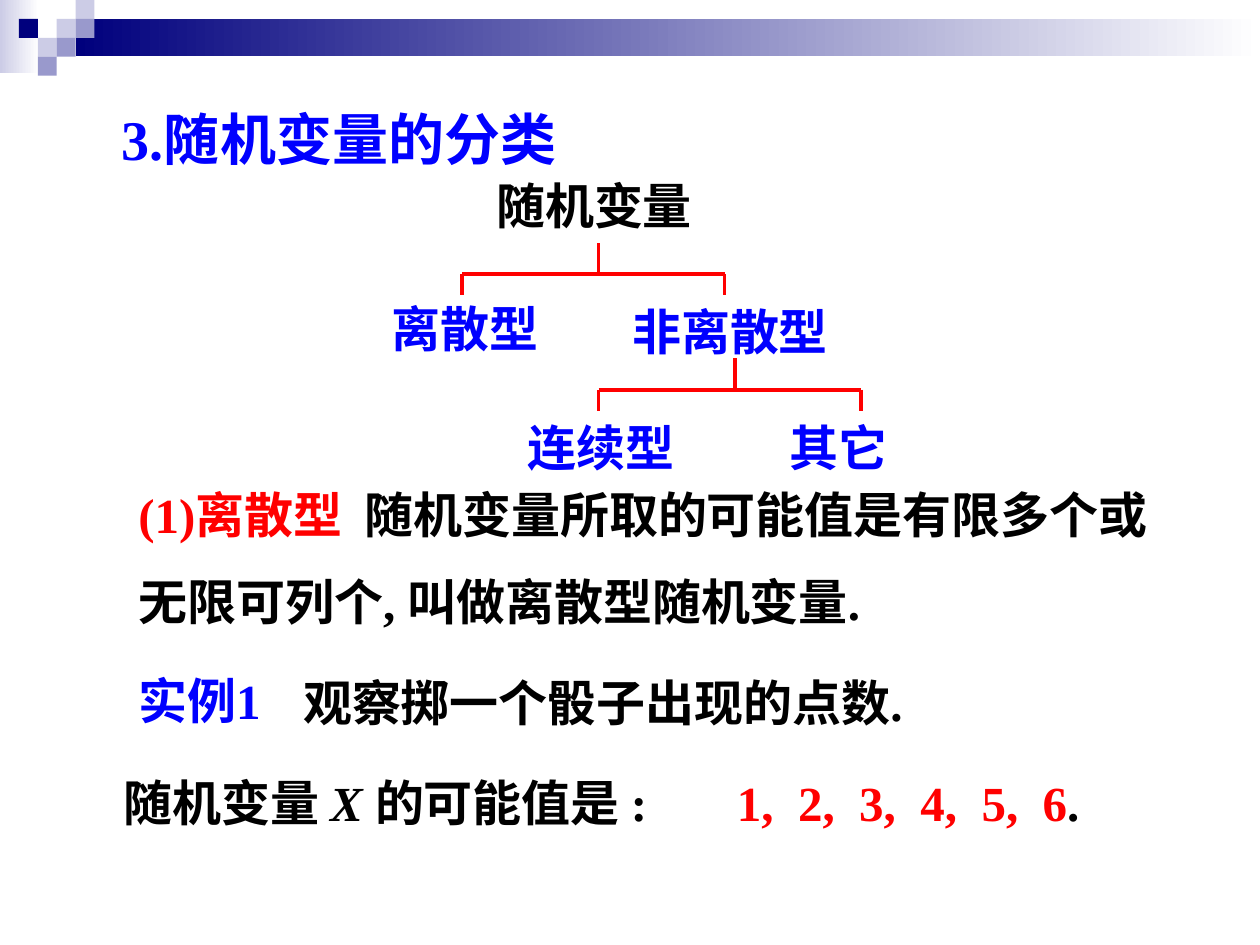
from lxml import etree
from pptx import Presentation
from pptx.dml.color import RGBColor
from pptx.enum.shapes import MSO_CONNECTOR, MSO_SHAPE
from pptx.enum.text import MSO_AUTO_SIZE
from pptx.oxml.ns import qn
from pptx.util import Pt

LINE = MSO_CONNECTOR.STRAIGHT
RECT = MSO_SHAPE.RECTANGLE
FIT = MSO_AUTO_SIZE.SHAPE_TO_FIT_TEXT

BLUE = RGBColor(0, 0, 255)
RED = RGBColor(255, 0, 0)
BLACK = RGBColor(0, 0, 0)
WHITE = RGBColor(255, 255, 255)
NAVY = RGBColor(0, 0, 125)
PALE = RGBColor(204, 204, 230)
LILAC = RGBColor(153, 153, 204)

ROMAN = "Times New Roman"
HAN = "Noto Sans CJK SC"

CELL = 10.8
BARS = [((0, 0, 22.3, 41.8), PALE), ((43.2, CELL, 676.8, 21.3), NAVY)]
CELLS = [(3, 1, PALE), (4, 0, PALE), (4, 1, LILAC), (2, 2, PALE),
         (1, 1, NAVY), (3, 2, LILAC), (2, 3, LILAC)]

NODES = [
    ("随机变量", (276.5, 96.5), BLACK),
    ("离散型", (216.7, 167), BLUE),
    ("非离散型", (354.2, 168.5), BLUE),
    ("连续型", (294.5, 234.9), BLUE),
    ("其它", (444.2, 234.9), BLUE),
]
GLYPH, EDGE = 28, 16
FORKS = [(264.2, 342, 156.8), (342, 420, 222.7)]
SPAN, STEM, DROP = 149.8, 18, 12

TITLE = [[("3.", {}), ("随机变量的分类", {"face": HAN})]]
RULE = [
    [("(1)", {"color": RED}), ("离散型", {"color": RED, "face": HAN}),
     ("  随机变量所取的可能值是有限多个或", {"face": HAN})],
    [("无限可列个", {"face": HAN}), (", ", {}),
     ("叫做离散型随机变量", {"face": HAN}), (".", {})],
]
CASE = [[("实例1", {})]]
DICE = [[(" 观察掷一个骰子出现的点数.", {})]]
ASK = [[("随机变量 ", {}), ("X ", {"slant": True}), ("的可能值是 :", {})]]
VALUES = [[("1,  2,  3,  4,  5,  6", {"color": RED}), (".", {})]]

deck = Presentation()
deck.slide_width, deck.slide_height = Pt(720), Pt(540)
slide = deck.slides.add_slide(deck.slide_layouts[6])
shapes = slide.shapes


def add_text(paras, place, size=28, color=BLACK, tall=41, wrap=False,
             hang=0, lead=None, gap=0):
    left, top, wide = place
    box = shapes.add_textbox(Pt(left), Pt(top), Pt(wide), Pt(tall))
    frame = box.text_frame
    frame.word_wrap = wrap
    frame.auto_size = FIT
    for i, runs in enumerate(paras):
        para = frame.add_paragraph() if i else frame.paragraphs[0]
        if hang:
            props = para._p.get_or_add_pPr()
            props.set("marL", str(Pt(hang)))
            props.set("indent", str(-Pt(hang)))
        if lead:
            para.line_spacing = lead
        if i and gap:
            para.space_before = Pt(gap)
        for words, look in runs:
            run = para.add_run()
            run.text = words
            font = run.font
            font.size, font.bold = Pt(size), True
            font.italic = look.get("slant", False)
            font.color.rgb = look.get("color", color)
            font.name = look.get("face", ROMAN)
            east = etree.SubElement(run._r.get_or_add_rPr(), qn("a:ea"))
            east.set("typeface", HAN)


def add_rect(place, color, fade=False):
    rect = shapes.add_shape(RECT, *[Pt(n) for n in place])
    rect.shadow.inherit = False
    rect.line.fill.background()
    if fade:
        rect.fill.gradient()
        rect.fill.gradient_angle = 180
        for stop, tint in zip(rect.fill.gradient_stops, (WHITE, color)):
            stop.color.rgb = tint
    else:
        rect.fill.solid()
        rect.fill.fore_color.rgb = color


def add_line(*ends):
    line = shapes.add_connector(LINE, *[Pt(n) for n in ends])
    line.line.color.rgb = RED
    line.line.width = Pt(2.25)
    etree.SubElement(line._element.spPr, qn("a:effectLst"))


for place, color in BARS:
    add_rect(place, color, fade=True)
for col, row, color in CELLS:
    add_rect((col * CELL, row * CELL, CELL, CELL), color)

add_text(TITLE, (62.6, 56.2, 276), size=32, color=BLUE, tall=46)
for words, (left, top), color in NODES:
    wide = len(words) * GLYPH + EDGE
    add_text([[(words, {})]], (left, top, wide), color=color)
for left, stem, top in FORKS:
    right = left + SPAN
    add_line(left, top, right, top)
    add_line(left, top, left, top + DROP)
    add_line(right, top, right, top + DROP)
    add_line(stem, top, stem, top - STEM)

add_text(RULE, (72, 276, 635.8), tall=88.6, wrap=True,
         hang=36, lead=0.95, gap=17.5)
add_text(CASE, (72, 379.4, 95.8), color=BLUE, wrap=True)
add_text(DICE, (159.8, 380.9, 372))
add_text(ASK, (63.4, 437.8, 336))
add_text(VALUES, (414, 437.8, 212))

deck.save("out.pptx")
